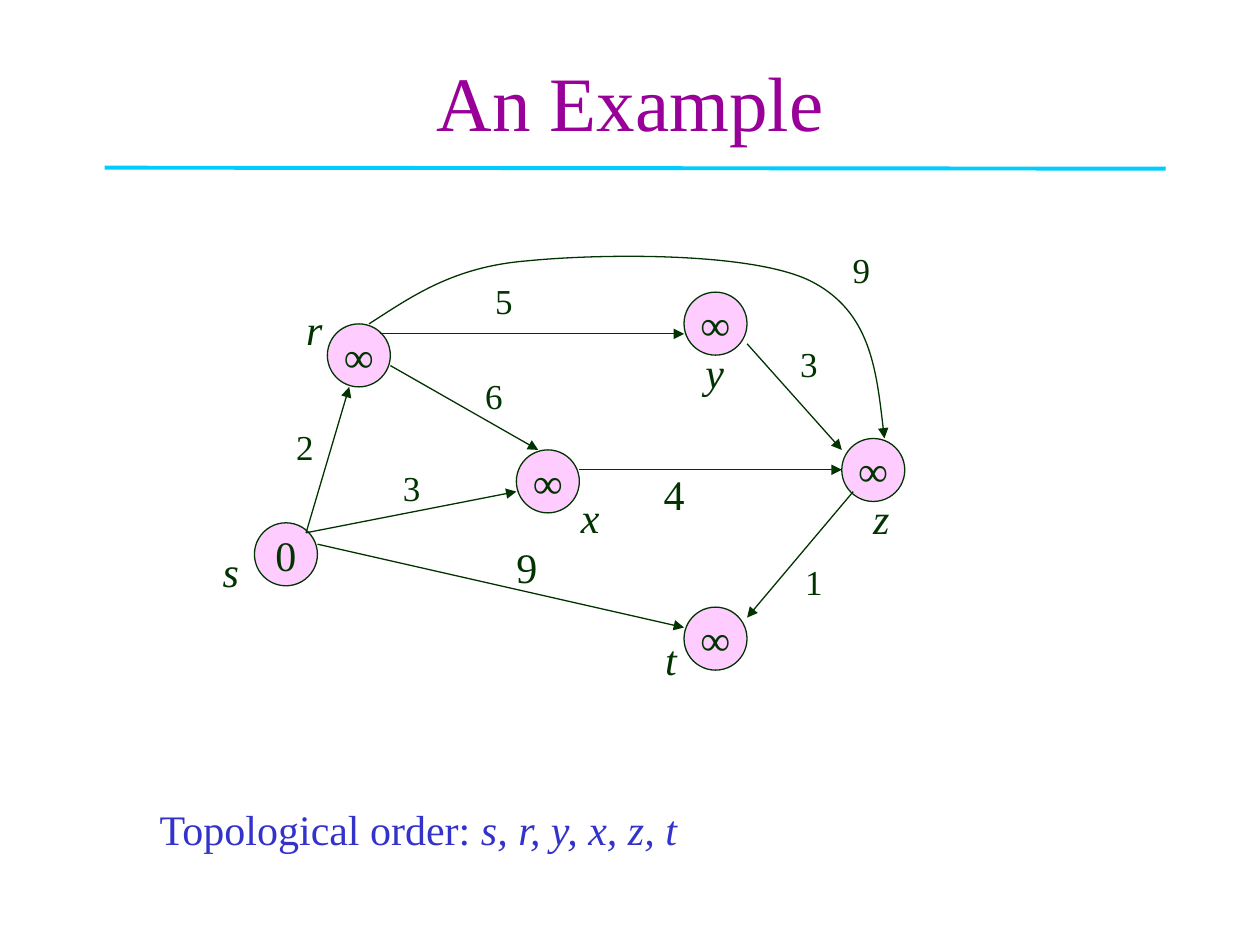
"""Draw a weighted graph with its topological order."""
from typing import NamedTuple

from lxml.etree import SubElement as Sub
from pptx import Presentation as Deck
from pptx.dml.color import RGBColor as Rgb
from pptx.enum.shapes import MSO_CONNECTOR as Link, MSO_SHAPE as Shape
from pptx.enum.text import MSO_ANCHOR as Anchor, MSO_AUTO_SIZE as Auto, PP_ALIGN as Align
from pptx.oxml.ns import qn
from pptx.util import Cm, Pt

FONT = "Times New Roman"
DARK, PINK, PLUM, BLUE, CYAN = "003300", "FFCCFF", "990099", "3333CC", "00CCFF"
SIZE = 1.27

Point = tuple[float, float]


class Run(NamedTuple):
    text: str
    size: float = 24
    color: str = DARK
    slant: bool = False


class Node(NamedTuple):
    name: str
    value: str
    spot: Point
    label: Point
    width: float


class Edge(NamedTuple):
    start: Point
    end: Point
    weight: str
    label: Point
    size: float = 20


NODES = [
    Node("s", "0", (5.13, 10.54), (4.24, 10.87), 0.84),
    Node("r", "∞", (6.6, 6.53), (5.92, 5.99), 0.84),
    Node("y", "∞", (13.79, 5.89), (13.97, 6.86), 0.89),
    Node("x", "∞", (10.41, 9.07), (11.46, 9.78), 0.89),
    Node("z", "∞", (16.97, 8.84), (17.35, 9.8), 0.84),
    Node("t", "∞", (13.79, 12.24), (13.16, 12.65), 0.74),
]
EDGES = [
    Edge((6.17, 10.74), (7.04, 7.8), "2", (5.72, 8.46)),
    Edge((6.17, 10.74), (10.41, 9.91), "3", (7.87, 9.27)),
    Edge((6.4, 10.97), (13.79, 12.65), "9", (10.16, 10.8), 24),
    Edge((7.87, 7.37), (10.85, 9.07), "6", (9.53, 7.42)),
    Edge((7.67, 6.73), (13.79, 6.73), "5", (9.73, 5.51)),
    Edge((11.68, 9.47), (16.97, 9.47), "4", (13.13, 9.32), 24),
    Edge((15.06, 6.93), (16.97, 9.07), "3", (15.88, 6.78)),
    Edge((17.2, 9.91), (15.06, 12.45), "1", (15.98, 11.18)),
]
CURVE = [(7.44, 6.53),
         (8.31, 5.97), (9.14, 5.38), (10.62, 5.26),
         (12.12, 5.11), (15.14, 5.08), (16.33, 5.66),
         (17.55, 6.27), (17.68, 7.57), (17.83, 8.84)]


def paint(part, color: str) -> None:
    """Give a fill or font colour from a hex string."""
    if hasattr(part, "solid"):
        part.solid()
        part.fore_color.rgb = Rgb.from_string(color)
    else:
        part.color.rgb = Rgb.from_string(color)


def write(frame, runs: list[Run], align=Align.LEFT) -> None:
    """Add the runs to the first paragraph of a frame."""
    para = frame.paragraphs[0]
    para.alignment = align
    for item in runs:
        run = para.add_run()
        run.text = item.text
        run.font.name, run.font.size = FONT, Pt(item.size)
        run.font.italic = item.slant
        paint(run.font, item.color)


def add_text(shapes, spot: Point, width: float, height: float, runs: list[Run]) -> None:
    """Add a text box that does not wrap."""
    box = shapes.add_textbox(*map(Cm, (*spot, width, height)))
    box.text_frame.word_wrap = False
    box.text_frame.auto_size = Auto.SHAPE_TO_FIT_TEXT
    write(box.text_frame, runs)


def stroke(shape, color: str, width: float) -> None:
    """Style the line of a shape or connector."""
    paint(shape.line.fill, color)
    shape.line.width = Pt(width)


def add_head(shape) -> None:
    """Put an arrowhead at the end of a line."""
    Sub(shape.line._get_or_add_ln(), qn("a:tailEnd"), type="triangle")


def add_line(shapes, start: Point, end: Point, color: str, width: float):
    """Add a straight line without a shadow."""
    line = shapes.add_connector(Link.STRAIGHT, *map(Cm, (*start, *end)))
    stroke(line, color, width)
    Sub(line._element.spPr, qn("a:effectLst"))
    return line


def add_node(shapes, node: Node) -> None:
    """Add a circle with its value and its name."""
    disc = shapes.add_shape(Shape.OVAL, *map(Cm, (*node.spot, SIZE, SIZE)))
    disc.shadow.inherit = False
    paint(disc.fill, PINK)
    stroke(disc, DARK, 0.75)
    disc.text_frame.word_wrap = False
    disc.text_frame.vertical_anchor = Anchor.MIDDLE
    write(disc.text_frame, [Run(node.value)], Align.CENTER)
    add_text(shapes, node.label, node.width, 1.27, [Run(node.name, slant=True)])


def add_weight(shapes, text: str, spot: Point, size: float = 20) -> None:
    """Add the weight of an edge."""
    add_text(shapes, spot, 0.86, 1.1, [Run(text, size)])


def add_edge(shapes, edge: Edge) -> None:
    """Add an arrow with its weight."""
    add_head(add_line(shapes, edge.start, edge.end, DARK, 0.75))
    add_weight(shapes, edge.weight, edge.label, edge.size)


def add_curve(shapes, points: list[Point]) -> None:
    """Add a curved arrow from a start and triples of curve points."""
    first, *rest = [(Cm(x), Cm(y)) for x, y in points]
    form = shapes.build_freeform(*first)
    form.add_line_segments(rest, close=False)
    curve = form.convert_to_shape()
    curve.shadow.inherit = False
    curve.fill.background()
    stroke(curve, DARK, 0.75)
    add_head(curve)
    legs = curve._element.xpath(".//a:lnTo")
    track = legs[0].getparent()
    for at in range(0, len(legs), 3):
        bend = Sub(track, qn("a:cubicBezTo"))
        for leg in legs[at:at + 3]:
            bend.append(leg[0])
            track.remove(leg)


def main() -> None:
    """Build the slide and save it."""
    deck = Deck()
    deck.slide_width, deck.slide_height = Cm(25.4), Cm(19.05)
    slide = deck.slides.add_slide(deck.slide_layouts[5])
    shapes = slide.shapes
    title = shapes.title
    title.left, title.top, title.width, title.height = map(Cm, (1.91, 0.43, 21.59, 3.18))
    title.text_frame.vertical_anchor = Anchor.MIDDLE
    write(title.text_frame, [Run("An Example", 44, PLUM)], Align.CENTER)
    add_line(shapes, (2.11, 3.38), (23.5, 3.4), CYAN, 2.25)
    for node in NODES:
        add_node(shapes, node)
    for edge in EDGES:
        add_edge(shapes, edge)
    add_curve(shapes, CURVE)
    add_weight(shapes, "9", (16.94, 4.88))
    add_text(shapes, (2.97, 16.08), 11.13, 1.27, [
        Run("Topological order: ", color=BLUE),
        Run("s, r, y, x, z, t", color=BLUE, slant=True)])
    deck.save("out.pptx")


if __name__ == "__main__":
    main()
